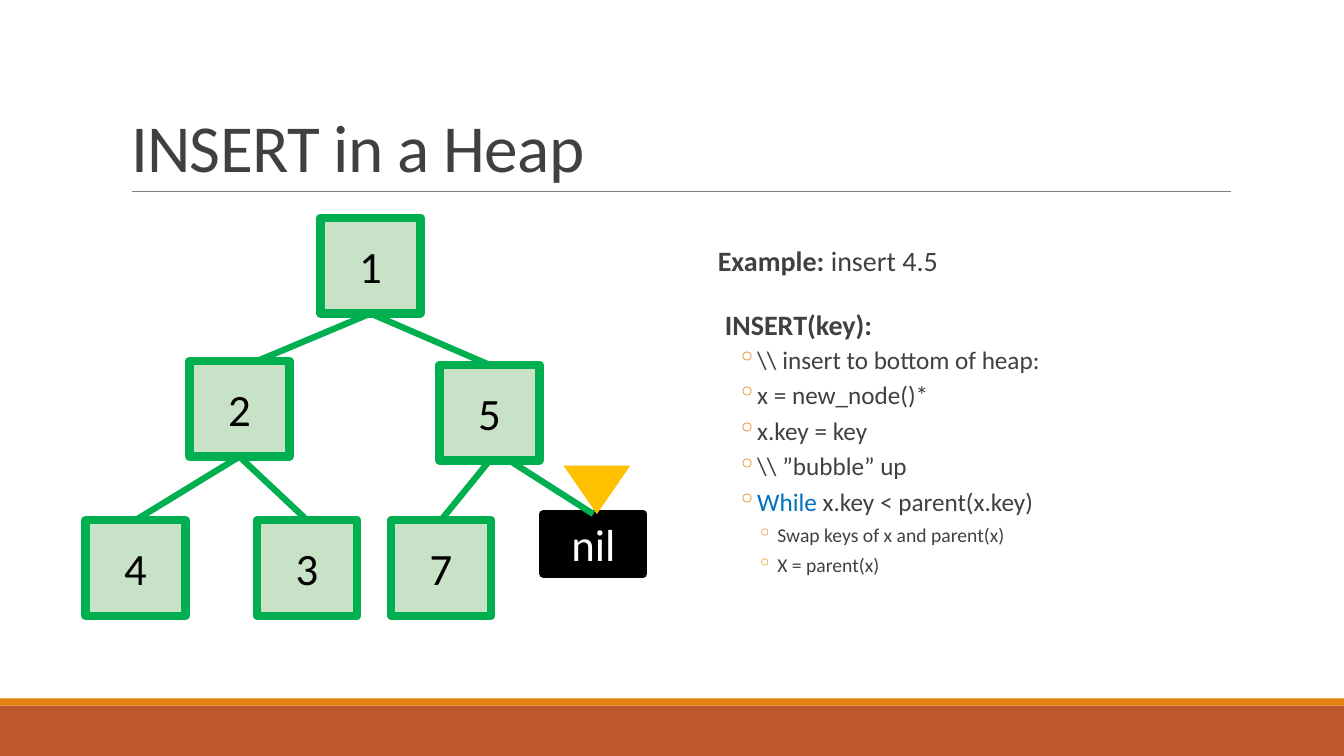
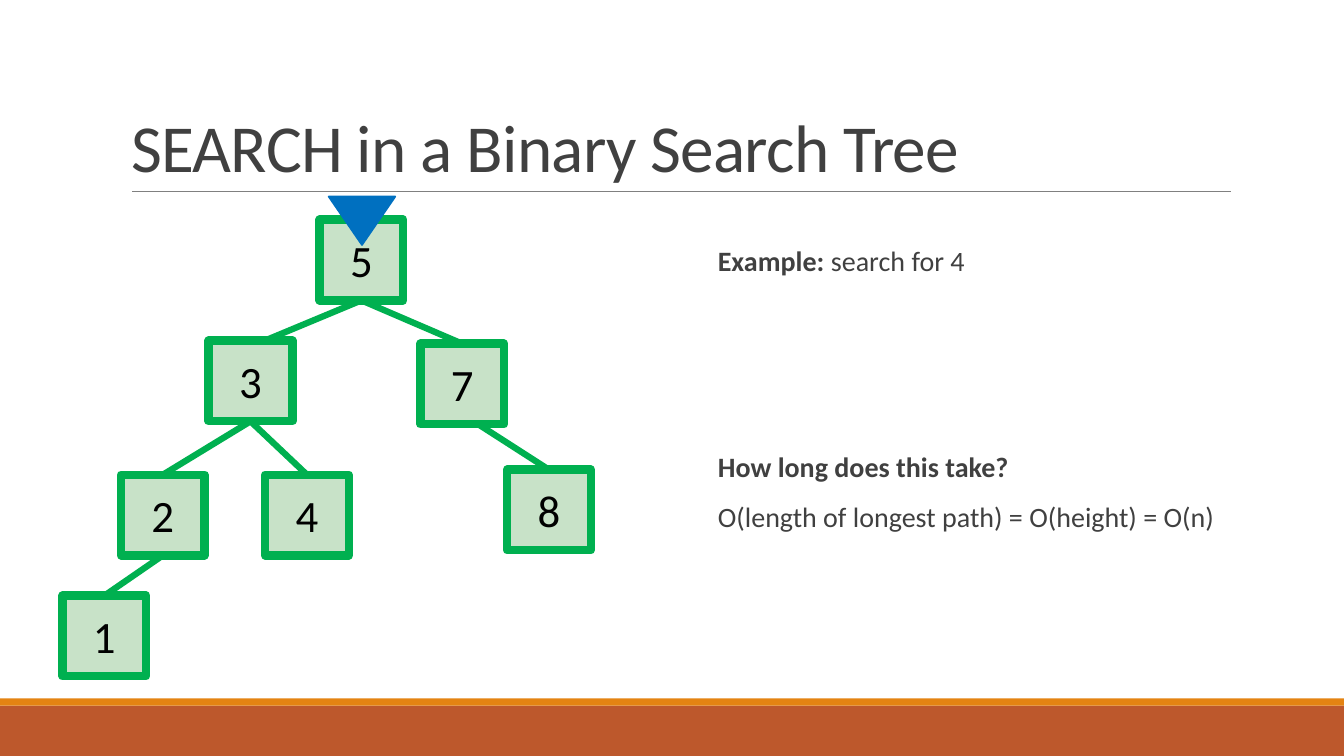
from lxml import etree
from pptx import Presentation
from pptx.dml.color import RGBColor
from pptx.enum.shapes import MSO_CONNECTOR, MSO_SHAPE
from pptx.enum.text import MSO_ANCHOR, MSO_AUTO_SIZE, PP_ALIGN
from pptx.oxml.ns import qn
from pptx.util import Inches, Pt

RECTANGLE, TRIANGLE = MSO_SHAPE.RECTANGLE, MSO_SHAPE.ISOSCELES_TRIANGLE
STRAIGHT = MSO_CONNECTOR.STRAIGHT
MIDDLE, BOTTOM = MSO_ANCHOR.MIDDLE, MSO_ANCHOR.BOTTOM
LEFT, CENTER = PP_ALIGN.LEFT, PP_ALIGN.CENTER
NO_AUTOFIT = MSO_AUTO_SIZE.NONE

FONT = "Calibri"
TITLE_ONLY = 5
TOP_SIDE, BOTTOM_SIDE = 0, 2
COLORS = {
    "band": "BD582C", "accent": "E48312", "rule": "808080", "text": "404040",
    "node": "C8E2C8", "edge": "00B050", "black": "000000", "white": "FFFFFF",
    "gold": "FFC000", "blue": "0070C0",
}
HEADING = {"indent": 0.1, "after": 2}
STEP = {"size": 18, "indent": 0.42, "before": 2, "after": 4, "bullet": "◦"}
SUBSTEP = {**STEP, "size": 14, "indent": 0.62}


def rgb(name):
    """Return the palette colour of that name."""
    return RGBColor.from_string(COLORS[name])


def add_bullet(paragraph, char):
    """Give a paragraph a hanging accent-coloured bullet."""
    props = paragraph._p.get_or_add_pPr()
    props.set("indent", str(Inches(-0.2)))
    color = etree.SubElement(props, qn("a:buClr"))
    etree.SubElement(color, qn("a:srgbClr")).set("val", COLORS["accent"])
    etree.SubElement(props, qn("a:buChar")).set("char", char)


def write(frame, runs, size=20, color="text", align=LEFT, indent=0, before=0,
          after=0, spacing=0.9, bullet=None, tracking=None):
    """Write one paragraph of (text, bold, colour) runs, reusing an empty first one."""
    paragraph = frame.paragraphs[-1]
    if paragraph.runs:
        paragraph = frame.add_paragraph()
    if indent:
        paragraph._p.get_or_add_pPr().set("marL", str(Inches(indent)))
    if bullet:
        add_bullet(paragraph, bullet)
    paragraph.alignment = align
    paragraph.line_spacing = spacing
    paragraph.space_before, paragraph.space_after = Pt(before), Pt(after)
    for text, bold, run_color in runs:
        run = paragraph.add_run()
        run.text = text
        run.font.name, run.font.size, run.font.bold = FONT, Pt(size), bold
        run.font.color.rgb = rgb(run_color or color)
        if tracking:
            run._r.get_or_add_rPr().set("spc", str(tracking))


def plain(text):
    """Return text as a single regular run."""
    return [(text, False, None)]


def bold(text):
    """Return text as a single bold run."""
    return [(text, True, None)]


def add_box(slide, kind, left, top, width, height, fill, line=None, weight=6):
    """Add a flat filled shape, outlined when a line colour is given."""
    box = slide.shapes.add_shape(
        kind, Inches(left), Inches(top), Inches(width), Inches(height))
    box.shadow.inherit = False
    box.fill.solid()
    box.fill.fore_color.rgb = rgb(fill)
    if line:
        box.line.color.rgb = rgb(line)
        box.line.width = Pt(weight)
    else:
        box.line.fill.background()
    return box


def add_line(slide, start, end, color, weight):
    """Add a flat straight connector between two points in EMU."""
    line = slide.shapes.add_connector(STRAIGHT, *start, *end)
    etree.SubElement(line._element.spPr, qn("a:effectLst"))
    line.line.color.rgb = rgb(color)
    line.line.width = Pt(weight)
    return line


def add_node(slide, label, left, top, width, height, fill="node", line="edge",
             color="black"):
    """Add a labelled tree node."""
    node = add_box(slide, RECTANGLE, left, top, width, height, fill, line)
    node.text_frame.vertical_anchor = MIDDLE
    write(node.text_frame, plain(label), size=32, color=color, align=CENTER, spacing=1)
    return node


def add_edge(slide, parent, child, parent_shift=0, child_shift=0):
    """Link a parent's bottom to a child's top, joined where not shifted."""
    start = (parent.left + parent.width // 2 + Inches(parent_shift),
             parent.top + parent.height)
    end = (child.left + child.width // 2 + Inches(child_shift), child.top)
    edge = add_line(slide, start, end, "edge", 4.5)
    if not parent_shift:
        edge.begin_connect(parent, BOTTOM_SIDE)
    if not child_shift:
        edge.end_connect(child, TOP_SIDE)


def add_nodes(slide, places, width, height):
    """Add equal nodes from a label-to-position dict and return them by label."""
    return {label: add_node(slide, label, left, top, width, height)
            for label, (left, top) in places.items()}


def add_edges(slide, nodes, links):
    """Add an edge for each (parent, child, shifts...) link."""
    for parent, child, *shifts in links:
        add_edge(slide, nodes[parent], nodes[child], *shifts)


def add_marker(slide, left, top, color, line=None):
    """Add a triangle pointing down at the current node."""
    marker = add_box(slide, TRIANGLE, left, top, 0.66, 0.48, color, line, 1.25)
    marker.rotation = 180


def add_text(slide, left, top, height, paragraphs):
    """Add a text column of (runs, format) paragraphs."""
    column = slide.shapes.add_textbox(
        Inches(left), Inches(top), Inches(5.47), Inches(height))
    frame = column.text_frame
    frame.word_wrap = True
    frame.margin_left = frame.margin_right = 0
    for runs, style in paragraphs:
        write(frame, runs, **style)


def add_example(slide, task):
    """Add the example line at the right of the tree."""
    add_text(slide, 7.02, 2.4, 1.59, [(bold("Example: ") + plain(task), HEADING)])


def add_slide(deck, heading):
    """Add a slide with the shared bands, rule and title."""
    slide = deck.slides.add_slide(deck.slide_layouts[TITLE_ONLY])
    add_box(slide, RECTANGLE, 0, 7, 13.33, 0.5, "band")
    add_box(slide, RECTANGLE, 0, 6.93, 13.33, 0.07, "accent")
    add_line(slide, (Inches(1.31), Inches(1.9)), (Inches(12.21), Inches(1.9)),
             "rule", 0.5)
    title = slide.shapes.title
    title.left, title.top = Inches(1.2), Inches(0.31)
    title.width, title.height = Inches(11), Inches(1.59)
    title.text_frame.auto_size = NO_AUTOFIT
    title.text_frame.vertical_anchor = BOTTOM
    write(title.text_frame, plain(heading), size=48, spacing=0.85, tracking=-50)
    return slide


def build_heap(deck):
    """Build the heap insertion slide."""
    slide = add_slide(deck, "INSERT in a Heap")
    add_text(slide, 7.09, 3.04, 3.59, [
        (bold("INSERT(key):"), HEADING),
        (plain("\\\\ insert to bottom of heap:"), STEP),
        (plain("x = new_node()*"), STEP),
        (plain("x.key = key"), STEP),
        (plain("\\\\ ”bubble” up"), STEP),
        ([("While ", False, "blue")] + plain("x.key < parent(x.key)"), STEP),
        (plain("Swap keys of x and parent(x)"), SUBSTEP),
        (plain("X = parent(x)"), SUBSTEP),
    ])
    add_example(slide, "insert 4.5")
    nodes = add_nodes(slide, {
        "1": (3.18, 2.16), "5": (4.36, 3.62), "3": (2.55, 5.16),
        "4": (0.85, 5.16), "2": (1.88, 3.58), "7": (3.88, 5.16),
    }, 0.99, 0.95)
    nodes["nil"] = add_node(slide, "nil", 5.39, 5.1, 0.99, 0.59,
                            fill="black", line="black", color="white")
    add_edges(slide, nodes, [
        ("1", "2", 0, 0.18), ("2", "3"), ("2", "4"),
        ("1", "5"), ("5", "nil", 0.2), ("5", "7"),
    ])
    add_marker(slide, 5.59, 4.62, "gold")


def build_search(deck):
    """Build the binary search tree slide."""
    slide = add_slide(deck, "SEARCH in a Binary Search Tree")
    add_text(slide, 7.02, 4.45, 1.59, [
        (bold("How long does this take?"), HEADING),
        (plain("O(length of longest path) = O(height) = O(n)"),
         {**HEADING, "before": 12}),
    ])
    nodes = add_nodes(slide, {
        "5": (3.17, 2.18), "7": (4.17, 3.41), "4": (2.63, 4.71), "2": (1.2, 4.71),
        "3": (2.07, 3.38), "1": (0.62, 5.91), "8": (5.03, 4.66),
    }, 0.83, 0.8)
    add_edges(slide, nodes, [
        ("5", "3", 0, 0.14), ("3", "4"), ("3", "2"),
        ("5", "7"), ("7", "8", 0.16), ("2", "1"),
    ])
    add_example(slide, "search for 4")
    add_marker(slide, 3.26, 1.95, "blue", "blue")


def main():
    """Build and save the deck."""
    deck = Presentation()
    deck.slide_width, deck.slide_height = Inches(13.33), Inches(7.5)
    build_heap(deck)
    build_search(deck)
    deck.save("out.pptx")


if __name__ == "__main__":
    main()
